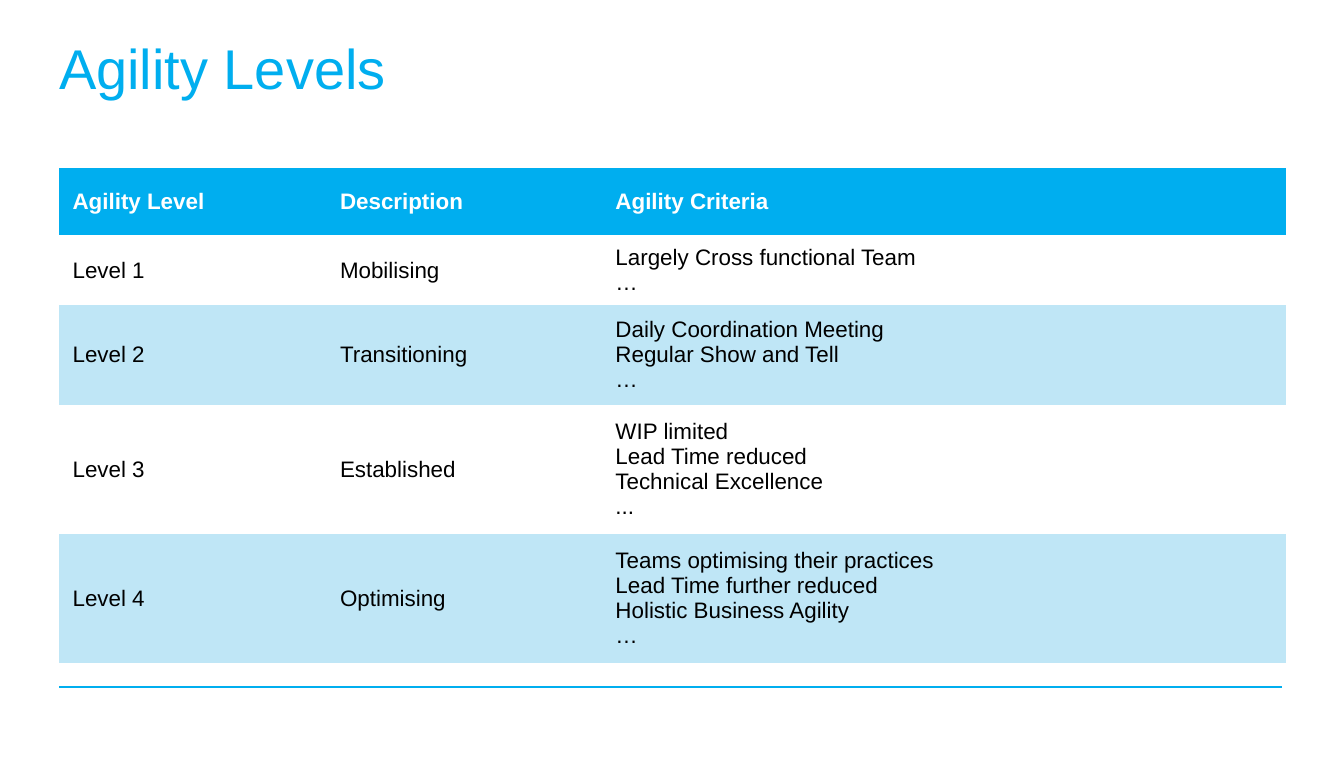
from dataclasses import dataclass

from lxml.etree import SubElement
from pptx import Presentation
from pptx.dml.color import RGBColor as RGB
from pptx.enum.shapes import MSO_CONNECTOR as CONN
from pptx.enum.text import MSO_ANCHOR as ANCHOR, PP_ALIGN as ALIGN
from pptx.oxml.ns import qn
from pptx.util import Inches, Pt

COLORS = {"accent": "00AEEF", "band": "BFE6F6", "white": "FFFFFF", "black": "000000"}
FONT = "Arial"
WIDTH, HEIGHT = 10, 5.63
LEFT = 0.44
COLUMNS = (1.99, 2.05, 5.09)
NO_STYLE = "{2D5ABB26-0587-4C30-8999-92F81FD0307C}"


@dataclass
class Level:
    name: str
    description: str
    criteria: str
    height: float


HEADER = Level("Agility Level", "Description", "Agility Criteria", 0.5)
LEVELS = [
    Level("Level 1", "Mobilising", "Largely Cross functional Team\n…", 0.52),
    Level("Level 2", "Transitioning",
          "Daily Coordination Meeting\nRegular Show and Tell\n…", 0.74),
    Level("Level 3", "Established",
          "WIP limited\nLead Time reduced\nTechnical Excellence\n...", 0.96),
    Level("Level 4", "Optimising",
          "Teams optimising their practices\nLead Time further reduced\n"
          "Holistic Business Agility\n…", 0.96),
]


def color(name: str) -> RGB:
    return RGB.from_string(COLORS[name])


def write(tf, text: str, *, size: float, fill: str, bold: bool = False) -> None:
    tf.text = text
    for p in tf.paragraphs:
        p.alignment = ALIGN.LEFT
        for r in p.runs:
            r.font.name, r.font.size, r.font.bold = FONT, Pt(size), bold
            r.font.color.rgb = color(fill)


def add_title(s, text: str) -> None:
    title = s.shapes.title
    title.left, title.top = Inches(LEFT), Inches(0.25)
    title.width, title.height = Inches(9.11), Inches(0.5)
    tf = title.text_frame
    tf.margin_left = tf.margin_right = tf.margin_top = tf.margin_bottom = 0
    tf.vertical_anchor = ANCHOR.MIDDLE
    write(tf, text, size=30, fill="accent")


def add_rule(s, y: float) -> None:
    rule = s.shapes.add_connector(CONN.STRAIGHT, Inches(LEFT), Inches(y),
                                  Inches(9.54), Inches(y))
    rule.line.color.rgb, rule.line.width = color("accent"), Pt(1)
    SubElement(rule._element.spPr, qn("a:effectLst"))


def add_levels(s, rows: list[Level]) -> None:
    frame = s.shapes.add_table(
        len(rows), len(COLUMNS), Inches(LEFT), Inches(1.25),
        Inches(sum(COLUMNS)), Inches(sum(row.height for row in rows)))
    table = frame.table
    table._tbl.tblPr.find(qn("a:tableStyleId")).text = NO_STYLE
    for column, width in zip(table.columns, COLUMNS):
        column.width = Inches(width)
    for i, row in enumerate(rows):
        table.rows[i].height = Inches(row.height)
        # Header row in the accent colour, then alternating bands
        fill = "accent" if i == 0 else "white" if i % 2 else "band"
        for j, text in enumerate((row.name, row.description, row.criteria)):
            cell = table.cell(i, j)
            cell.fill.solid()
            cell.fill.fore_color.rgb = color(fill)
            cell.vertical_anchor = ANCHOR.MIDDLE
            write(cell.text_frame, text, size=12, bold=i == 0,
                  fill="white" if i == 0 else "black")


def main() -> None:
    prs = Presentation()
    prs.slide_width, prs.slide_height = Inches(WIDTH), Inches(HEIGHT)
    s = prs.slides.add_slide(prs.slide_layouts[5])
    add_rule(s, 5.11)
    add_title(s, "Agility Levels")
    add_levels(s, [HEADER, *LEVELS])
    prs.save("out.pptx")


if __name__ == "__main__":
    main()
